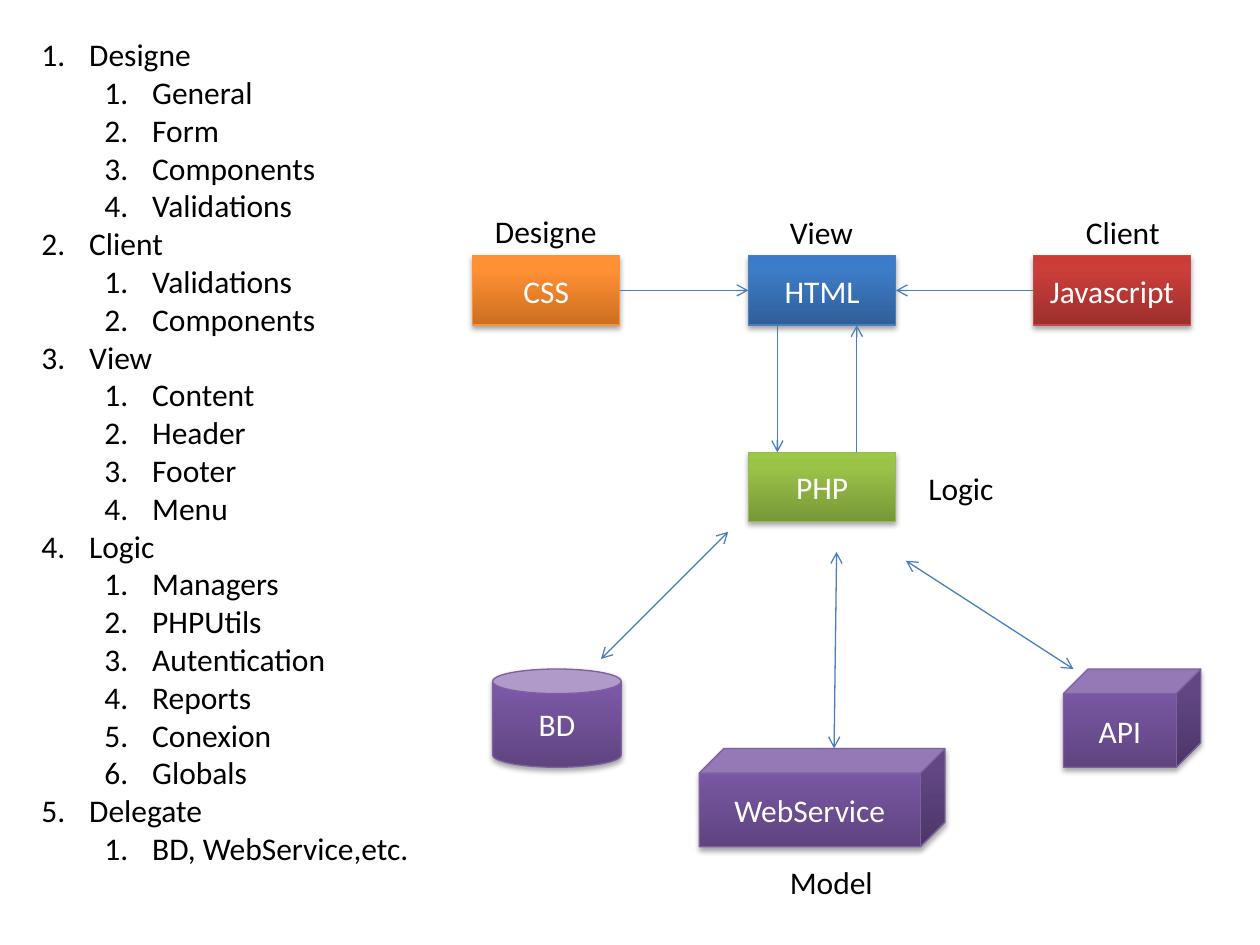
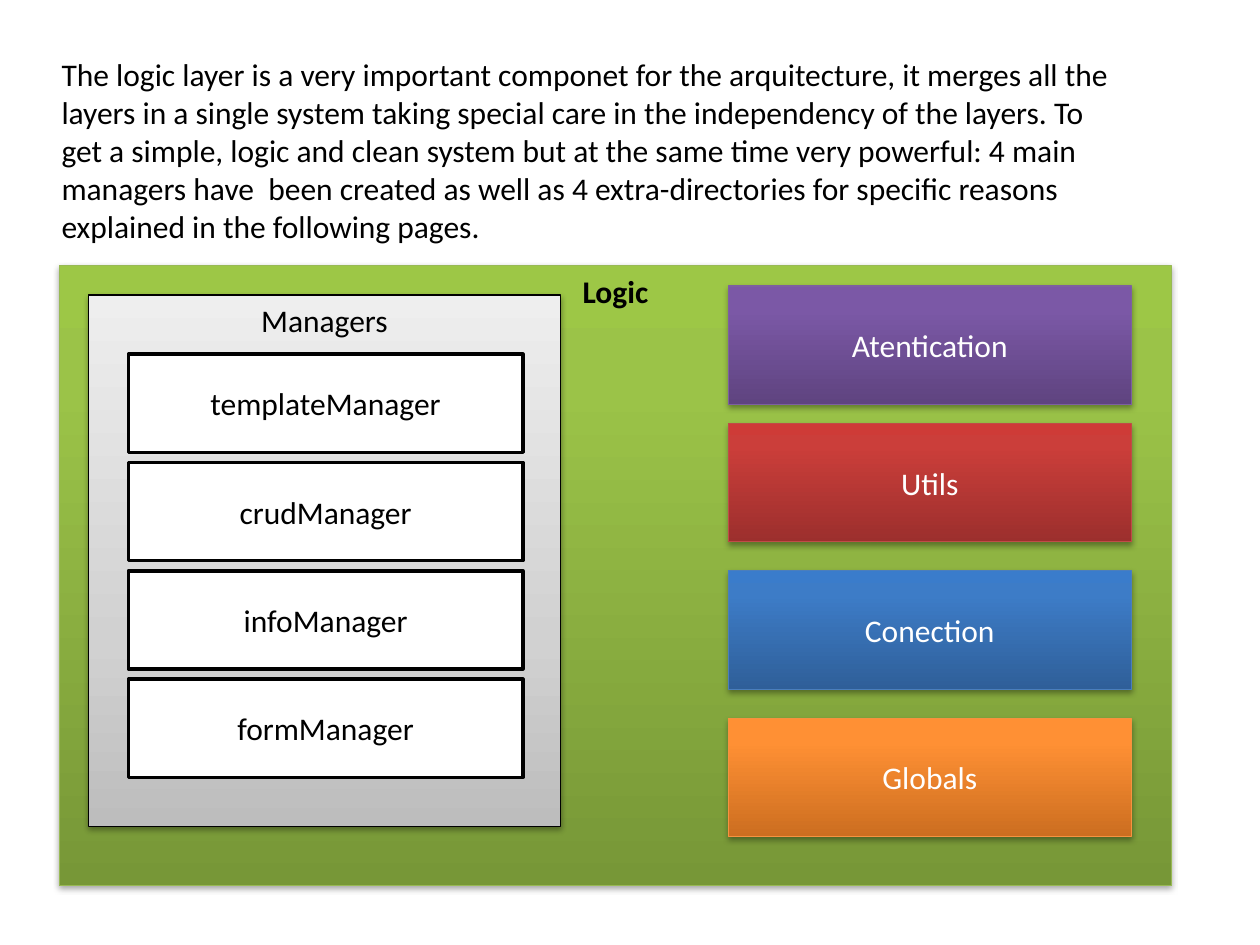
from copy import deepcopy
from dataclasses import dataclass

from lxml import etree
from pptx import Presentation
from pptx import util as u
from pptx.dml.color import RGBColor
from pptx.enum import shapes, text
from pptx.oxml import ns


@dataclass(frozen=True)
class Theme:
    font: str = "Calibri"
    size: float = 18
    hairline: float = 0.75
    outline: float = 2
    ink: str = "000000"
    paper: str = "FFFFFF"
    arrow: str = "4B7EBC"
    orange: tuple = ("F69240", ((0, "CC6E20"), (80, "FF9034"), (100, "FF9136")))
    blue: tuple = ("4B7EBC", ((0, "2F5F99"), (80, "3D7CC7"), (100, "3A7CCB")))
    red: tuple = ("BF4C48", ((0, "9C2F2D"), (80, "CB3E3A"), (100, "CE3B37")))
    green: tuple = ("98B955", ((0, "779737"), (80, "9BC348"), (100, "9DC746")))
    purple: tuple = ("7D60A0", ((0, "5F4480"), (80, "7B58A6"), (100, "7C57A8")))
    gray: tuple = ("000000", ((0, "BDBDBD"), (35, "D1D1D1"), (100, "EEEEEE")))
    white: tuple = ("000000", ())


theme = Theme()
kinds = shapes.MSO_SHAPE
middle, top = text.MSO_ANCHOR.MIDDLE, text.MSO_ANCHOR.TOP


def write(paragraph, words, color=theme.ink, bold=False):
    run = paragraph.add_run()
    run.text = words
    for name, value in {"name": theme.font, "size": u.Pt(theme.size), "bold": bold}.items():
        setattr(run.font, name, value)
    run.font.color.rgb = RGBColor.from_string(color)


def add_block(slide, kind, box, words, palette, color=theme.paper, anchor=middle, bold=False):
    block = slide.shapes.add_shape(kind, *map(u.Inches, box))
    edge, stops = palette
    block.shadow.inherit = False
    block.line.color.rgb = RGBColor.from_string(edge)
    block.line.width = u.Pt(theme.hairline if stops else theme.outline)
    if stops:
        block.fill.gradient()
        block.fill.gradient_angle = 90
        stop_list = block._element.spPr.find(".//" + ns.qn("a:gsLst"))
        stop_list.append(deepcopy(stop_list[-1]))
        for stop, (position, shade) in zip(block.fill.gradient_stops, stops):
            stop.position = position / 100
            stop.color.rgb = RGBColor.from_string(shade)
        effects = block._element.spPr.find(ns.qn("a:effectLst"))
        shadow = etree.SubElement(effects, ns.qn("a:outerShdw"), blurRad="40000",
                                  dist="23000", dir="5400000", rotWithShape="0")
        tint = etree.SubElement(shadow, ns.qn("a:srgbClr"), val=theme.ink)
        etree.SubElement(tint, ns.qn("a:alpha"), val="35000")
    else:
        block.fill.solid()
        block.fill.fore_color.rgb = RGBColor.from_string(theme.paper)
    block.text_frame.word_wrap = True
    block.text_frame.vertical_anchor = anchor
    block.text_frame.paragraphs[0].alignment = text.PP_ALIGN.CENTER
    write(block.text_frame.paragraphs[0], words, color, bold)
    return block


deck = Presentation()
deck.slide_width, deck.slide_height = u.Inches(10), u.Inches(7.5)
blank = deck.slide_layouts[6]

architecture = deck.slides.add_slide(blank)
outline = {
    "Designe": ["General", "Form", "Components", "Validations"],
    "Client": ["Validations", "Components"],
    "View": ["Content", "Header", "Footer", "Menu"],
    "Logic": ["Managers", "PHPUtils", "Autentication", "Reports", "Conexion", "Globals"],
    "Delegate": ["BD, WebService,etc."],
}
entries = [(level, words) for section, parts in outline.items()
           for level, words in [(0, section)] + [(1, part) for part in parts]]
contents = architecture.shapes.add_textbox(*map(u.Inches, (0.23, 0.23, 3.14, 6.77))).text_frame
contents.word_wrap = False
contents.auto_size = text.MSO_AUTO_SIZE.SHAPE_TO_FIT_TEXT
for index, (level, words) in enumerate(entries):
    entry = contents.add_paragraph() if index else contents.paragraphs[0]
    entry.level = level
    properties = entry._p.get_or_add_pPr()
    properties.set("marL", str(u.Inches(0.38 + level * 0.5)))
    properties.set("indent", str(u.Inches(-0.38)))
    etree.SubElement(properties, ns.qn("a:buFont"), typeface="+mj-lt")
    etree.SubElement(properties, ns.qn("a:buAutoNum"), type="arabicPeriod")
    write(entry, words)

layers = {}
for words, kind, box, palette in [
    ("CSS", kinds.RECTANGLE, (3.75, 2.03, 1.17, 0.55), theme.orange),
    ("HTML", kinds.RECTANGLE, (5.94, 2.03, 1.17, 0.55), theme.blue),
    ("Javascript", kinds.RECTANGLE, (8.2, 2.03, 1.25, 0.55), theme.red),
    ("PHP", kinds.RECTANGLE, (5.94, 3.59, 1.17, 0.55), theme.green),
    ("BD", kinds.CAN, (3.91, 5.31, 1.02, 0.78), theme.purple),
    ("WebService", kinds.CUBE, (5.55, 5.94, 1.95, 0.78), theme.purple),
    ("API", kinds.CUBE, (8.44, 5.31, 1.09, 0.78), theme.purple),
]:
    layers[words] = add_block(architecture, kind, box, words, palette)

for path_points, joints, ends in [
    ((4.92, 2.3, 5.94, 2.3), (("CSS", 3), ("HTML", 1)), ["tailEnd"]),
    ((8.2, 2.3, 7.11, 2.3), (("Javascript", 1), ("HTML", 3)), ["tailEnd"]),
    ((6.17, 2.58, 6.17, 3.59), None, ["tailEnd"]),
    ((6.8, 3.59, 6.8, 2.58), None, ["tailEnd"]),
    ((4.77, 5.23, 5.78, 4.22), None, ["headEnd", "tailEnd"]),
    ((6.62, 5.94, 6.64, 4.38), None, ["headEnd", "tailEnd"]),
    ((8.52, 5.31, 7.19, 4.45), None, ["headEnd", "tailEnd"]),
]:
    flow = architecture.shapes.add_connector(shapes.MSO_CONNECTOR.STRAIGHT,
                                             *map(u.Inches, path_points))
    if joints:
        (source, source_side), (target, target_side) = joints
        flow.begin_connect(layers[source], source_side)
        flow.end_connect(layers[target], target_side)
    flow.line.color.rgb = RGBColor.from_string(theme.arrow)
    flow.line.width = u.Pt(theme.hairline)
    for end in ends:
        etree.SubElement(flow.line._get_or_add_ln(), ns.qn("a:" + end), type="arrow")
    etree.SubElement(flow._element.spPr, ns.qn("a:effectLst"))

for words, left, height_from_top, width in [
    ("Designe", 3.83, 1.63, 1.02),
    ("Logic", 7.27, 3.67, 0.73),
    ("Client", 8.52, 1.64, 0.79),
    ("View", 6.17, 1.64, 0.71),
    ("Model", 6.17, 6.8, 0.87),
]:
    role = architecture.shapes.add_textbox(
        *map(u.Inches, (left, height_from_top, width, 0.4))).text_frame
    role.word_wrap = False
    role.auto_size = text.MSO_AUTO_SIZE.SHAPE_TO_FIT_TEXT
    write(role.paragraphs[0], words)

logic = deck.slides.add_slide(blank)
add_block(logic, kinds.RECTANGLE, (0.47, 2.11, 8.83, 4.92), "Logic", theme.green,
          theme.ink, top, True)
add_block(logic, kinds.FLOWCHART_PROCESS, (0.7, 2.34, 3.75, 4.22), "Managers", theme.gray,
          theme.ink, top)
for row, manager in enumerate(["templateManager", "crudManager", "infoManager", "formManager"]):
    add_block(logic, kinds.RECTANGLE, (1.02, 2.81 + row * 0.86, 3.13, 0.78), manager,
              theme.white, theme.ink)
for directory, height_from_top, palette in [
    ("Atentication", 2.27, theme.purple),
    ("Utils", 3.36, theme.red),
    ("Conection", 4.53, theme.blue),
    ("Globals", 5.7, theme.orange),
]:
    add_block(logic, kinds.FLOWCHART_PROCESS, (5.78, height_from_top, 3.2, 0.94),
              directory, palette)

introduction = logic.shapes.add_textbox(*map(u.Inches, (0.39, 0.39, 8.67, 1.62))).text_frame
introduction.word_wrap = True
introduction.auto_size = text.MSO_AUTO_SIZE.SHAPE_TO_FIT_TEXT
write(introduction.paragraphs[0],
      "The logic layer is a very important componet for the arquitecture, it merges all the "
      "layers in a single system taking special care in the independency of the layers. To get "
      "a simple, logic and clean system but at the same time very powerful: 4 main managers "
      "have  been created as well as 4 extra-directories for specific reasons explained in the "
      "following pages.")

deck.save("out.pptx")
